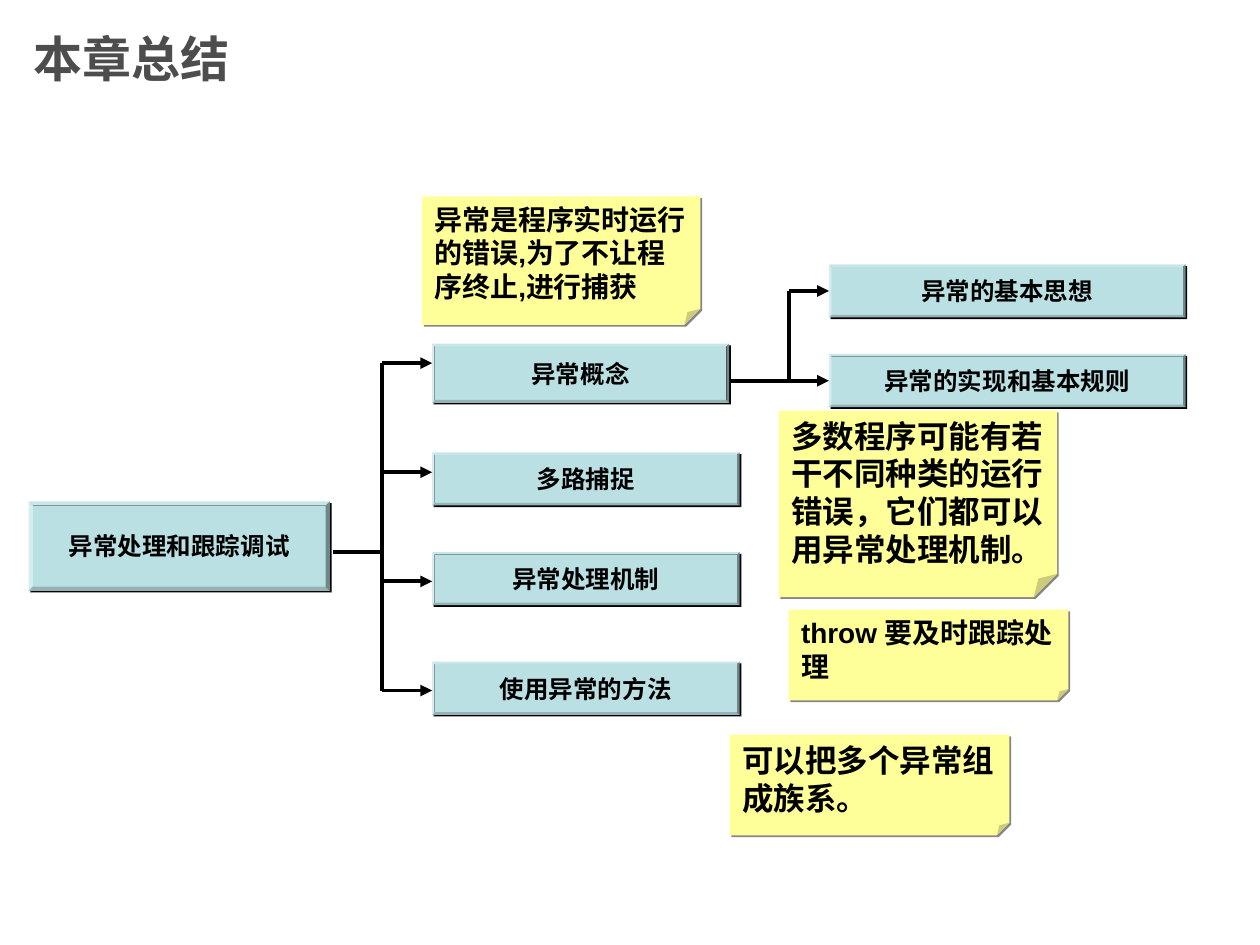
from lxml.etree import SubElement
from pptx import Presentation
from pptx.dml.color import RGBColor
from pptx.enum.shapes import MSO_CONNECTOR, MSO_SHAPE as SHAPE
from pptx.enum.text import MSO_ANCHOR as ANCHOR, MSO_AUTO_SIZE as AUTO, PP_ALIGN as ALIGN
from pptx.oxml.ns import qn
from pptx.util import Cm, Pt

BLACK = RGBColor(0x00, 0x00, 0x00)
TITLE_GREY = RGBColor(0x4D, 0x4D, 0x4D)
BOX_BLUE = RGBColor(0xBB, 0xE0, 0xE3)
NOTE_YELLOW = RGBColor(0xFF, 0xFF, 0x99)
NOTE_SHADOW = RGBColor(0x85, 0x85, 0x85)
LEFT_SIDE = 1

TRUNK_X, BRANCH_X, BRANCH_TOP, BRANCH_STEP = 7.7, 8.71, 7.32, 2.2
FORK_X, LEAF_X, LEAF_W, BOX_H = 15.9, 16.71, 7.19, 1.07

TOPICS = [  # text, top, width, height
    ("异常概念", 6.93, 5.99, 1.19),
    ("多路捕捉", 9.12, 6.2, BOX_H),
    ("异常处理机制", 11.13, 6.2, BOX_H),
    ("使用异常的方法", 13.34, 6.2, BOX_H),
]
LEAVES = [("异常的基本思想", 5.33), ("异常的实现和基本规则", 7.14)]
NOTES = [  # text, left, top, width, height, size, font
    ("异常是程序实时运行的错误,为了不让程序终止,进行捕获", 8.51, 3.96, 5.61, 2.59, 16, "Arial"),
    ("多数程序可能有若干不同种类的运行错误，它们都可以用异常处理机制。",
     15.7, 8.28, 5.61, 3.76, 18, "Arial Narrow"),
    ("throw 要及时跟踪处理", 15.9, 12.29, 5.64, 1.83, 16, "Arial"),
    ("可以把多个异常组成族系。", 14.71, 14.81, 5.64, 2.03, 18, "Arial Narrow"),
]


def add_text(tf, text, size, font, color=BLACK, align=ALIGN.LEFT):
    tf.vertical_anchor = ANCHOR.MIDDLE
    p = tf.paragraphs[0]
    p.alignment = align
    r = p.add_run()
    r.text = text
    r.font.size, r.font.name, r.font.bold = Pt(size), font, True
    r.font.color.rgb = color
    return p


def add_title(s, text):
    tf = s.shapes.add_textbox(Cm(0.43), Cm(0), Cm(19.05), Cm(2.34)).text_frame
    tf.word_wrap = True
    add_text(tf, text, 28, "Arial", TITLE_GREY)


def set_adjustment(sp, value):
    """Write the guide directly, as folded corners list no adjustments."""
    guides = sp._element.spPr.find(qn("a:prstGeom")).get_or_add_avLst()
    for guide in list(guides):
        guides.remove(guide)
    SubElement(guides, qn("a:gd"), name="adj", fmla=f"val {round(value * 100000)}")


def add_panel(s, kind, bounds, adjustment, fill, shadow):
    """Borderless shape with a hard shadow to the lower right."""
    sp = s.shapes.add_shape(kind, *map(Cm, bounds))
    set_adjustment(sp, adjustment)
    sp.fill.solid()
    sp.fill.fore_color.rgb = fill
    sp.line.fill.background()
    sp.shadow.inherit = False
    effects = sp._element.spPr.find(qn("a:effectLst"))
    outer = SubElement(effects, qn("a:outerShdw"), dist=str(Pt(1.4)), dir="2700000",
                       algn="ctr", rotWithShape="0")
    SubElement(outer, qn("a:srgbClr"), val=str(shadow))
    return sp


def add_box(s, text, *bounds):
    sp = add_panel(s, SHAPE.BEVEL, bounds, 0.047, BOX_BLUE, BLACK)
    sp.text_frame.word_wrap = False
    p = add_text(sp.text_frame, text, 14, "Arial Narrow", align=ALIGN.CENTER)
    p.space_before = Pt(8.8)
    return sp


def add_note(s, text, left, top, width, height, size, font):
    sp = add_panel(s, SHAPE.FOLDED_CORNER, (left, top, width, height), 0.125,
                   NOTE_YELLOW, NOTE_SHADOW)
    sp.text_frame.word_wrap = True
    sp.text_frame.auto_size = AUTO.SHAPE_TO_FIT_TEXT
    add_text(sp.text_frame, text, size, font)


def add_line(s, x1, y1, x2, y2, arrow=False):
    c = s.shapes.add_connector(MSO_CONNECTOR.STRAIGHT, *map(Cm, (x1, y1, x2, y2)))
    c.line.color.rgb = BLACK
    c.line.width = Pt(2.25)
    if arrow:
        SubElement(c.line._get_or_add_ln(), qn("a:tailEnd"), type="triangle")
    SubElement(c._element.spPr, qn("a:effectLst"))
    return c


def add_topics(s):
    add_box(s, "异常处理和跟踪调试", 0.58, 10.11, 6.07, 1.8)
    add_line(s, 6.71, 11.13, TRUNK_X, 11.13)
    bottom = BRANCH_TOP + BRANCH_STEP * (len(TOPICS) - 1)
    add_line(s, TRUNK_X, BRANCH_TOP, TRUNK_X, bottom)
    for i, (text, top, width, height) in enumerate(TOPICS):
        add_box(s, text, BRANCH_X, top, width, height)
        y = BRANCH_TOP + i * BRANCH_STEP
        add_line(s, TRUNK_X, y, BRANCH_X, y, arrow=True)


def add_leaves(s):
    middles = [top + BOX_H / 2 for _, top in LEAVES]
    for (text, top), y in zip(LEAVES, middles):
        box = add_box(s, text, LEAF_X, top, LEAF_W, BOX_H)
        add_line(s, FORK_X, y, LEAF_X, y, arrow=True).end_connect(box, LEFT_SIDE)
    add_line(s, FORK_X, middles[0], FORK_X, middles[-1])
    add_line(s, 14.71, middles[-1], FORK_X, middles[-1])


def main():
    prs = Presentation()
    prs.slide_width, prs.slide_height = Cm(25.4), Cm(19.05)
    s = prs.slides.add_slide(prs.slide_layouts[6])
    add_title(s, "本章总结")
    add_topics(s)
    add_leaves(s)
    for note in NOTES:
        add_note(s, *note)
    prs.save("out.pptx")


if __name__ == "__main__":
    main()
